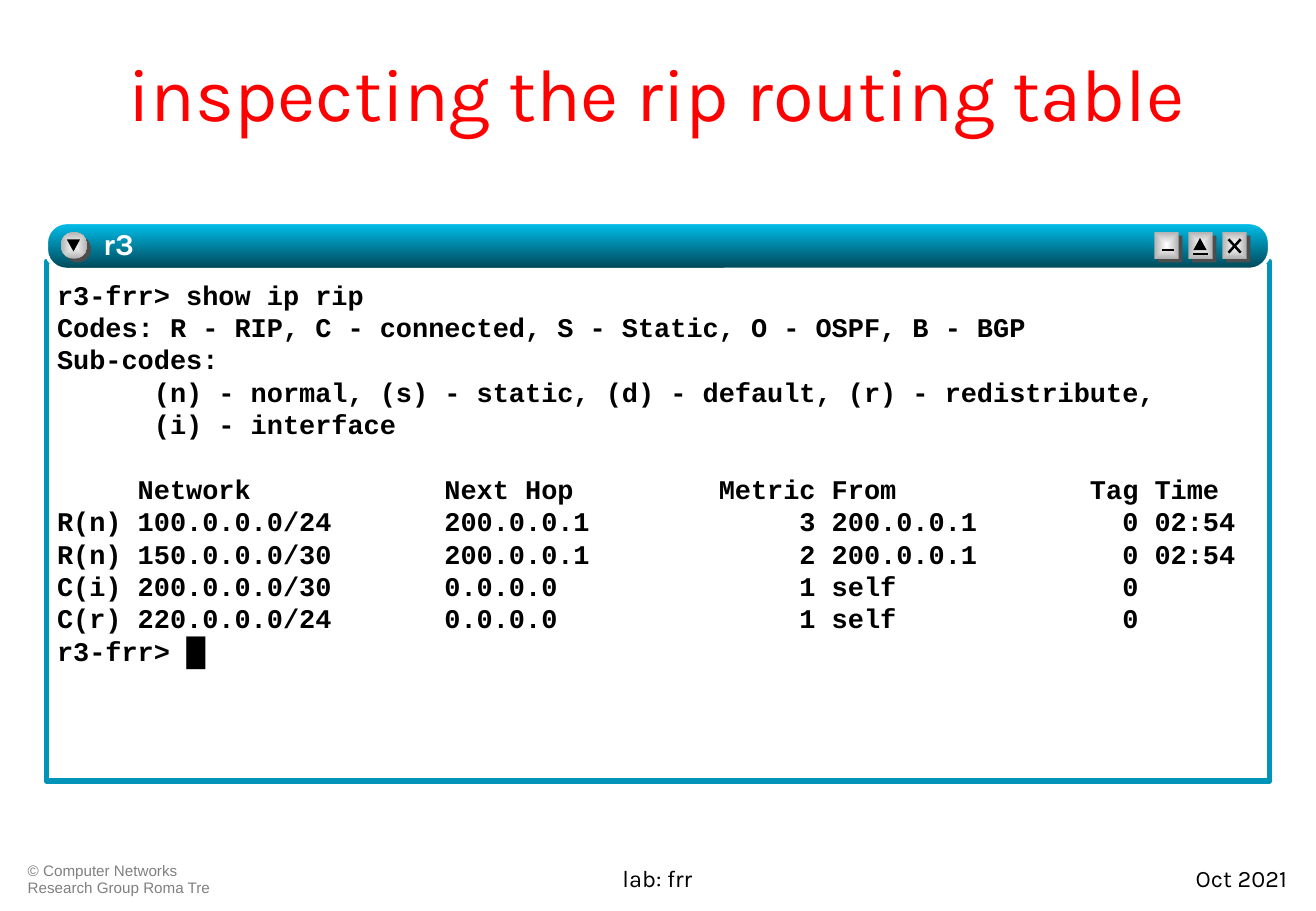
from lxml import etree
from pptx import Presentation
from pptx.dml.color import RGBColor
from pptx.enum.shapes import MSO_CONNECTOR, MSO_SHAPE
from pptx.enum.text import MSO_ANCHOR, PP_ALIGN
from pptx.oxml.ns import qn
from pptx.util import Inches, Pt

RECT, ROUNDED = MSO_SHAPE.RECTANGLE, MSO_SHAPE.ROUNDED_RECTANGLE
OVAL, TRIANGLE = MSO_SHAPE.OVAL, MSO_SHAPE.ISOSCELES_TRIANGLE
STRAIGHT = MSO_CONNECTOR.STRAIGHT
LEFT, CENTER, RIGHT = PP_ALIGN.LEFT, PP_ALIGN.CENTER, PP_ALIGN.RIGHT
TOP, MIDDLE = MSO_ANCHOR.TOP, MSO_ANCHOR.MIDDLE

# The slide is a grid of square cells, 1084 columns by 750 rows.
CELL = Inches(0.01)
COLS, ROWS = 1084, 750
FRAME_LEFT, FRAME_WIDTH = 38, 1008
BAR_TOP, BAR_HEIGHT = 183, 39
BUTTON_TOP, BUTTON_WIDTH, BUTTON_HEIGHT, BUTTON_PITCH = 191, 20, 22, 28
FIRST_BUTTON = 951
FOOTER_TOP, FOOTER_HEIGHT = 706, 36
INSETS = (10, 5, 10, 5)
LINE_PITCH = Pt(19.2)

COLORS = {
    "title": "FF0000", "text": "000000", "credit": "808080", "white": "FFFFFF",
    "frame": "0095B8", "bar_top": "00C1EE", "bar_bottom": "004555",
    "shade": "4D4D4D", "knob_mid": "FEFEFE", "knob_edge": "B2B2B2",
}

SESSION = [
    "r3-frr> show ip rip",
    "Codes: R - RIP, C - connected, S - Static, O - OSPF, B - BGP",
    "Sub-codes:",
    "      (n) - normal, (s) - static, (d) - default, (r) - redistribute,",
    "      (i) - interface",
    "     Network            Next Hop         Metric From            Tag Time",
    "R(n) 100.0.0.0/24       200.0.0.1             3 200.0.0.1         0 02:54",
    "R(n) 150.0.0.0/30       200.0.0.1             2 200.0.0.1         0 02:54",
    "C(i) 200.0.0.0/30       0.0.0.0               1 self              0",
    "C(r) 220.0.0.0/24       0.0.0.0               1 self              0",
    "r3-frr> ",
]
TABLE_HEADER = 5


def cells(*counts):
    return [round(n * CELL) for n in counts]


def rgb(name):
    return RGBColor.from_string(COLORS[name])


def add_shape(s, kind, box, fill=None, line=None, width=0):
    sp = s.shapes.add_shape(kind, *cells(*box))
    sp.shadow.inherit = False
    if fill:
        sp.fill.solid()
        sp.fill.fore_color.rgb = rgb(fill)
    else:
        sp.fill.background()
    if line:
        sp.line.color.rgb = rgb(line)
        sp.line.width = Pt(width)
    else:
        sp.line.fill.background()
    return sp


def set_gradient(sp, first, last, from_center=False):
    """Blend downwards, or outwards from the middle of the shape."""
    sp.fill.gradient()
    sp.fill.gradient_angle = 270
    for stop, name, position in zip(sp.fill.gradient_stops, (first, last), (0, 1)):
        stop.color.rgb = rgb(name)
        stop.position = position
    if from_center:
        grad = sp._element.spPr.find(qn("a:gradFill"))
        grad.remove(grad.find(qn("a:lin")))
        rect = etree.SubElement(grad, qn("a:path"), {"path": "rect"})
        etree.SubElement(rect, qn("a:fillToRect"), dict.fromkeys("ltrb", "50000"))


def add_line(s, x1, y1, x2, y2):
    c = s.shapes.add_connector(STRAIGHT, *cells(x1, y1, x2, y2))
    c.line.color.rgb = rgb("text")
    c.line.width = Pt(1.5)
    etree.SubElement(c._element.spPr, qn("a:effectLst"))


def format_run(r, font, size, color, bold=False):
    r.font.name = font
    r.font.size = Pt(size)
    r.font.bold = bold
    r.font.color.rgb = rgb(color)


def add_text(s, box, lines, font, size, color, bold=False, align=LEFT,
             anchor=TOP, insets=INSETS):
    tf = s.shapes.add_textbox(*cells(*box)).text_frame
    tf.word_wrap = True
    tf.vertical_anchor = anchor
    tf.margin_left, tf.margin_top, tf.margin_right, tf.margin_bottom = cells(*insets)
    tf.text = "\n".join(lines)
    for p in tf.paragraphs:
        p.alignment = align
        for r in p.runs:
            format_run(r, font, size, color, bold)
    return tf


def add_knob(s, kind, left, width):
    """A raised button face over its offset shade."""
    add_shape(s, kind, (left + 3, BUTTON_TOP + 3, width, BUTTON_HEIGHT), "shade")
    face = add_shape(s, kind, (left, BUTTON_TOP, width, BUTTON_HEIGHT))
    set_gradient(face, "knob_mid", "knob_edge", from_center=True)


def add_terminal(s):
    box = (FRAME_LEFT, 215, FRAME_WIDTH, 428)
    add_shape(s, RECT, box, line="frame", width=3)
    tf = add_text(s, box, SESSION, "Courier New", 16, "text", bold=True,
                  insets=(9, 14, 8, 4))
    for p in tf.paragraphs:
        p.line_spacing = LINE_PITCH
    tf.paragraphs[TABLE_HEADER].space_before = LINE_PITCH
    cursor = tf.paragraphs[-1].add_run()
    cursor.text = "█"
    format_run(cursor, "Arial", 16, "text", bold=True)


def add_title_bar(s):
    bar = add_shape(s, ROUNDED, (FRAME_LEFT, BAR_TOP, FRAME_WIDTH, BAR_HEIGHT),
                    line="white", width=2.25)
    bar.adjustments[0] = 0.43
    set_gradient(bar, "bar_top", "bar_bottom")

    add_knob(s, OVAL, 50, 22)
    add_shape(s, TRIANGLE, (55, 197, 11, 10), "text").rotation = 180

    minimize, maximize, close = (FIRST_BUTTON + i * BUTTON_PITCH for i in range(3))
    for left in (minimize, maximize, close):
        add_knob(s, RECT, left, BUTTON_WIDTH)
    add_line(s, minimize + 6, 206, minimize + 16, 206)
    add_line(s, maximize + 4, 209, maximize + 16, 209)
    add_shape(s, TRIANGLE, (maximize + 4, 196, 11, 10), "text")
    add_line(s, close + 5, 208, close + 15, 197)
    add_line(s, close + 5, 197, close + 15, 208)

    tf = add_text(s, (85, BAR_TOP + 2, 724, BAR_HEIGHT), ["r3"], "Karla", 18,
                  "white", bold=True, insets=(0, 0, 0, 0))
    add_text_shadow(tf.paragraphs[0].runs[0])


def add_text_shadow(r):
    effects = etree.Element(qn("a:effectLst"))
    shadow = etree.SubElement(effects, qn("a:outerShdw"),
                              {"dist": "17961", "dir": "2700000"})
    etree.SubElement(shadow, qn("a:srgbClr"), {"val": COLORS["text"]})
    r.font._element.find(qn("a:solidFill")).addnext(effects)


def add_footer(s):
    credit = add_text(s, (13, FOOTER_TOP, 188, FOOTER_HEIGHT),
                      ["© Computer Networks Research Group Roma Tre"],
                      "Arial", 9, "credit")
    credit.paragraphs[0].line_spacing = 0.9
    for left, width, label, align in ((277, 529, "lab: frr", CENTER),
                                      (823, 247, "Oct 2021", RIGHT)):
        add_text(s, (left, FOOTER_TOP, width, FOOTER_HEIGHT), [label],
                 "Karla", 14, "text", align=align)


def main():
    prs = Presentation()
    prs.slide_width, prs.slide_height = cells(COLS, ROWS)
    s = prs.slides.add_slide(prs.slide_layouts[6])
    add_text(s, (54, 13, 975, 125), ["inspecting the rip routing table"],
             "Karla", 44, "title", align=CENTER, anchor=MIDDLE)
    add_terminal(s)
    add_title_bar(s)
    add_footer(s)
    prs.save("out.pptx")


if __name__ == "__main__":
    main()
